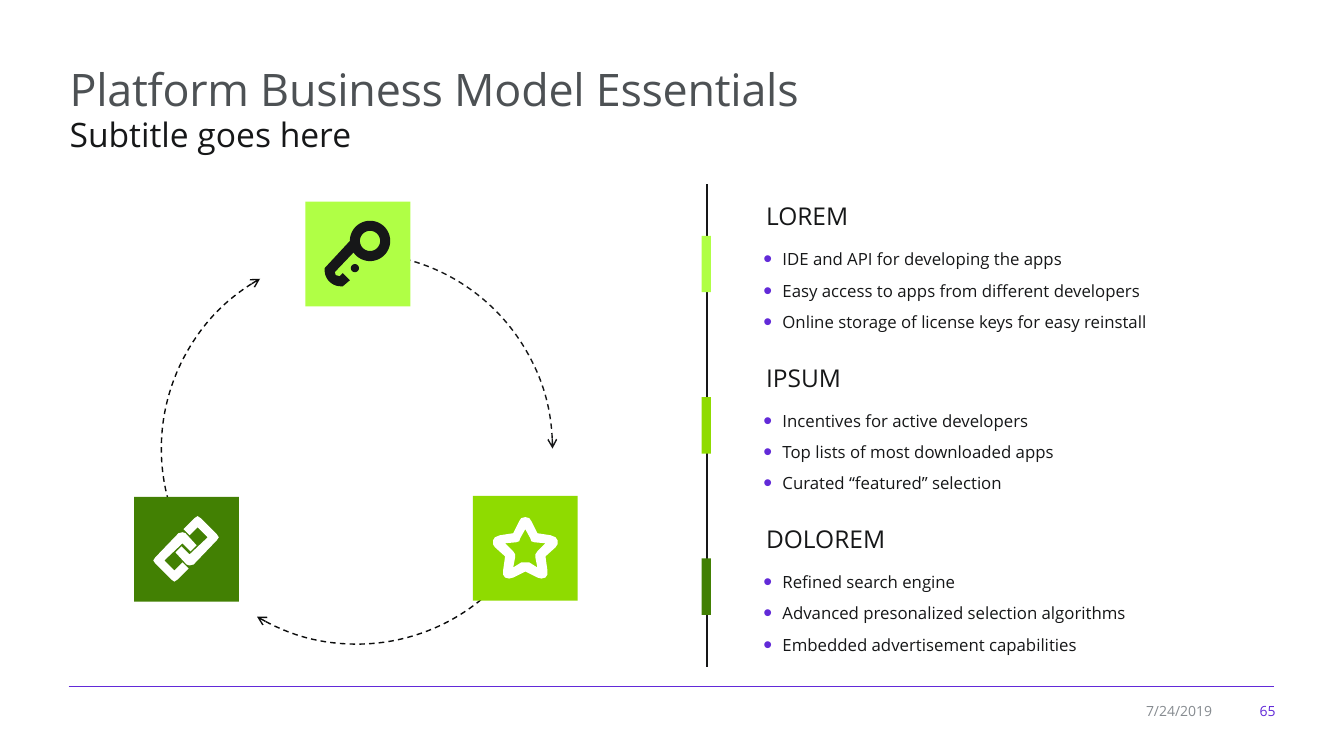
from dataclasses import dataclass
from math import cos, radians, sin

from lxml.etree import SubElement
from pptx import Presentation
from pptx.dml.color import RGBColor
from pptx.enum.dml import MSO_LINE
from pptx.enum.shapes import MSO_CONNECTOR, MSO_SHAPE
from pptx.enum.text import MSO_ANCHOR, MSO_AUTO_SIZE, PP_ALIGN
from pptx.oxml.ns import qn
from pptx.util import Inches, Pt

Points = list[tuple[float, float]]

FONT = "Open Sans"
COLORS = {
    "title": "4D5154", "ink": "161718", "arc": "0B0C0C", "accent": "622AD8",
    "date": "868B90", "white": "FFFFFF",
    "lime": "B0FF45", "green": "8FDB00", "forest": "428003",
}


@dataclass
class Section:
    heading: str
    color: str
    items: list[str]


@dataclass
class Tile:
    left: float
    top: float
    color: str
    icon_color: str
    icon: list[Points]


def rgb(name: str) -> RGBColor:
    """Look up a named colour."""
    return RGBColor.from_string(COLORS[name])


def place(sp, left: float, top: float, width: float, height: float) -> None:
    """Move and size a shape in inches."""
    sp.left, sp.top = Inches(left), Inches(top)
    sp.width, sp.height = Inches(width), Inches(height)


def write(p, text: str, size: float, color: str):
    """Add one formatted run to a paragraph."""
    r = p.add_run()
    r.text = text
    r.font.name, r.font.size, r.font.bold = FONT, Pt(size), False
    r.font.color.rgb = rgb(color)
    return r


def prepare(sp, anchor=MSO_ANCHOR.TOP, align=PP_ALIGN.LEFT):
    """Set up a text frame and return its first paragraph."""
    tf = sp.text_frame
    tf.word_wrap, tf.auto_size, tf.vertical_anchor = True, MSO_AUTO_SIZE.NONE, anchor
    p = tf.paragraphs[0]
    p.alignment, p.space_before = align, Pt(0)
    return p


def add_label(s, box: tuple, text: str, size: float, color: str, **layout) -> None:
    """Add a one-line text box."""
    sp = s.shapes.add_textbox(*map(Inches, box))
    write(prepare(sp, **layout), text, size, color)


def fill_list(sp, items: list[str]) -> None:
    """Write a bulleted list into a placeholder."""
    p = prepare(sp)
    for i, item in enumerate(items):
        if i:
            p = sp.text_frame.add_paragraph()
        p.alignment, p.space_before, p.space_after = PP_ALIGN.LEFT, Pt(0), Pt(8)
        pPr = p._p.get_or_add_pPr()
        pPr.set("marL", str(Inches(0.19)))
        pPr.set("indent", str(-Inches(0.19)))
        SubElement(SubElement(pPr, qn("a:buClr")), qn("a:srgbClr"), val=COLORS["accent"])
        SubElement(pPr, qn("a:buSzPct"), val="150000")
        SubElement(pPr, qn("a:buFont"), typeface="Arial")
        SubElement(pPr, qn("a:buChar"), char="•")
        write(p, item, 12, "ink")


def add_rule(s, start: tuple, end: tuple, color: str, width: float) -> None:
    """Draw a straight line."""
    c = s.shapes.add_connector(MSO_CONNECTOR.STRAIGHT, *map(Inches, start + end))
    c.line.color.rgb, c.line.width = rgb(color), Pt(width)
    SubElement(c._element.spPr, qn("a:effectLst"))


def paint(sp, color: str) -> None:
    """Give a shape a flat fill without line or shadow."""
    sp.shadow.inherit = False
    sp.fill.solid()
    sp.fill.fore_color.rgb = rgb(color)
    sp.line.fill.background()


def add_rect(shapes, box: tuple, color: str) -> None:
    """Add a flat rectangle."""
    paint(shapes.add_shape(MSO_SHAPE.RECTANGLE, *map(Inches, box)), color)


def add_arc(s, rotation: float, color: str) -> None:
    """Add a dashed quarter circle with an arrowhead."""
    sp = s.shapes.add_shape(MSO_SHAPE.ARC, *map(Inches, (1.6, 2.51, 3.88, 3.88)))
    sp.rotation, sp.shadow.inherit = rotation, False
    sp.fill.background()
    sp.line.color.rgb, sp.line.width = rgb(color), Pt(1)
    sp.line.dash_style = MSO_LINE.DASH
    SubElement(sp.line._get_or_add_ln(), qn("a:tailEnd"), type="arrow")


def add_tile(s, tile: Tile) -> None:
    """Add a coloured square grouped with its icon."""
    shapes = s.shapes.add_group_shape().shapes
    add_rect(shapes, (tile.left, tile.top, 1.04, 1.04), tile.color)
    outlines = [[(Inches(x), Inches(y)) for x, y in pts] for pts in tile.icon]
    builder = shapes.build_freeform(*outlines[0][0])
    for i, pts in enumerate(outlines):
        if i:
            builder.move_to(*pts[0])
        builder.add_line_segments(pts[1:], close=True)
    paint(builder.convert_to_shape(), tile.icon_color)


def curve(cx: float, cy: float, radius: float, start: int = 0, end: int = 360) -> Points:
    """Return points along a circle, clockwise in degrees."""
    return [(cx + radius * cos(radians(a)), cy + radius * sin(radians(a)))
            for a in range(start, end + 1, 5)]


def mirror(half: Points, axis: float) -> Points:
    """Complete an outline given as offsets right of a vertical axis."""
    return [(axis + x, y) for x, y in half] + [(axis - x, y) for x, y in half[-2:0:-1]]


def key_icon() -> list[Points]:
    """Return the outlines of the key."""
    bit = [(3.32, 2.7), (3.33, 2.73), (3.37, 2.74), (3.4, 2.71), (3.47, 2.78), (3.4, 2.84)]
    body = curve(3.67, 2.39, 0.2, 180, 505) + bit + curve(3.38, 2.68, 0.16, 90, 180)
    return [body + [(3.22, 2.66)], curve(3.67, 2.39, 0.1), curve(3.52, 2.66, 0.04)]


def link_icon() -> list[Points]:
    """Return the two chain links, each the other turned by half."""
    link = [(1.81, 5.58), (1.87, 5.64), (1.76, 5.75), (1.73, 5.77), (1.7, 5.75),
            (1.54, 5.59), (1.52, 5.56), (1.54, 5.53), (1.77, 5.29), (1.81, 5.28),
            (1.84, 5.29), (1.95, 5.41), (1.89, 5.47), (1.81, 5.39), (1.63, 5.56),
            (1.73, 5.66)]
    return [link, [(3.69 - x, 10.89 - y) for x, y in link]]


def star_icon() -> list[Points]:
    """Return the outer and inner outlines of the star."""
    outer = [(0, 5.13), (0.04, 5.14), (0.06, 5.17), (0.12, 5.29), (0.25, 5.31),
             (0.3, 5.33), (0.32, 5.36), (0.32, 5.4), (0.3, 5.43), (0.2, 5.52),
             (0.22, 5.66), (0.22, 5.7), (0.2, 5.73), (0.16, 5.74), (0.12, 5.73),
             (0, 5.67)]
    inner = [(0, 5.25), (0.05, 5.34), (0.06, 5.37), (0.09, 5.38), (0.2, 5.39),
             (0.12, 5.47), (0.1, 5.5), (0.1, 5.53), (0.12, 5.63), (0.04, 5.58),
             (0, 5.58)]
    return [mirror(outer, 5.21), mirror(inner, 5.21)]


SECTIONS = [
    Section("LOREM", "lime", ["IDE and API for developing the apps",
                              "Easy access to apps from different developers",
                              "Online storage of license keys for easy reinstall"]),
    Section("IPSUM", "green", ["Incentives for active developers",
                               "Top lists of most downloaded apps",
                               "Curated “featured” selection"]),
    Section("DOLOREM", "forest", ["Refined search engine",
                                  "Advanced presonalized selection algorithms",
                                  "Embedded advertisement capabilities"]),
]
TILES = [
    Tile(3.03, 2, "lime", "ink", key_icon()),
    Tile(1.33, 4.93, "forest", "white", link_icon()),
    Tile(4.69, 4.92, "green", "white", star_icon()),
]


def main() -> None:
    """Build and save the slide."""
    prs = Presentation()
    prs.slide_width, prs.slide_height = Inches(13.33), Inches(7.5)
    s = prs.slides.add_slide(prs.slide_layouts[4])
    title, subtitle, *lists = s.placeholders
    place(title, 0.59, 0.56, 12.16, 0.66)
    r = write(prepare(title), "Platform Business Model Essentials", 32, "title")
    r._r.get_or_add_rPr().set("spc", "-20")
    place(subtitle, 0.59, 1.01, 12.03, 0.54)
    p = prepare(subtitle)
    p.line_spacing = 1.17
    write(p, "Subtitle goes here", 24, "ink")

    add_rule(s, (0.68, 6.81), (12.64, 6.81), "accent", 0.75)
    add_rule(s, (7.01, 1.83), (7.01, 6.62), "ink", 1.5)
    for i, (section, sp) in enumerate(zip(SECTIONS, lists)):
        drop = 1.6 * i
        add_label(s, (7.5, 1.95 + drop, 3.87, 0.4), section.heading, 17.5, "ink")
        place(sp, 7.47, 2.42 + drop, 4.34, 0.93)
        fill_list(sp, section.items)
        add_rect(s.shapes, (6.96, 2.34 + drop, 0.09, 0.56), section.color)

    for rotation, color in ((0, "ink"), (120.7, "arc"), (240.3, "arc")):
        add_arc(s, rotation, color)
    for tile in TILES:
        add_tile(s, tile)
    footer = {"anchor": MSO_ANCHOR.MIDDLE, "align": PP_ALIGN.RIGHT}
    add_label(s, (11.17, 6.92, 0.95, 0.26), "7/24/2019", 10, "date", **footer)
    add_label(s, (12.24, 6.92, 0.51, 0.26), "65", 10, "accent", **footer)
    prs.save("out.pptx")


if __name__ == "__main__":
    main()
